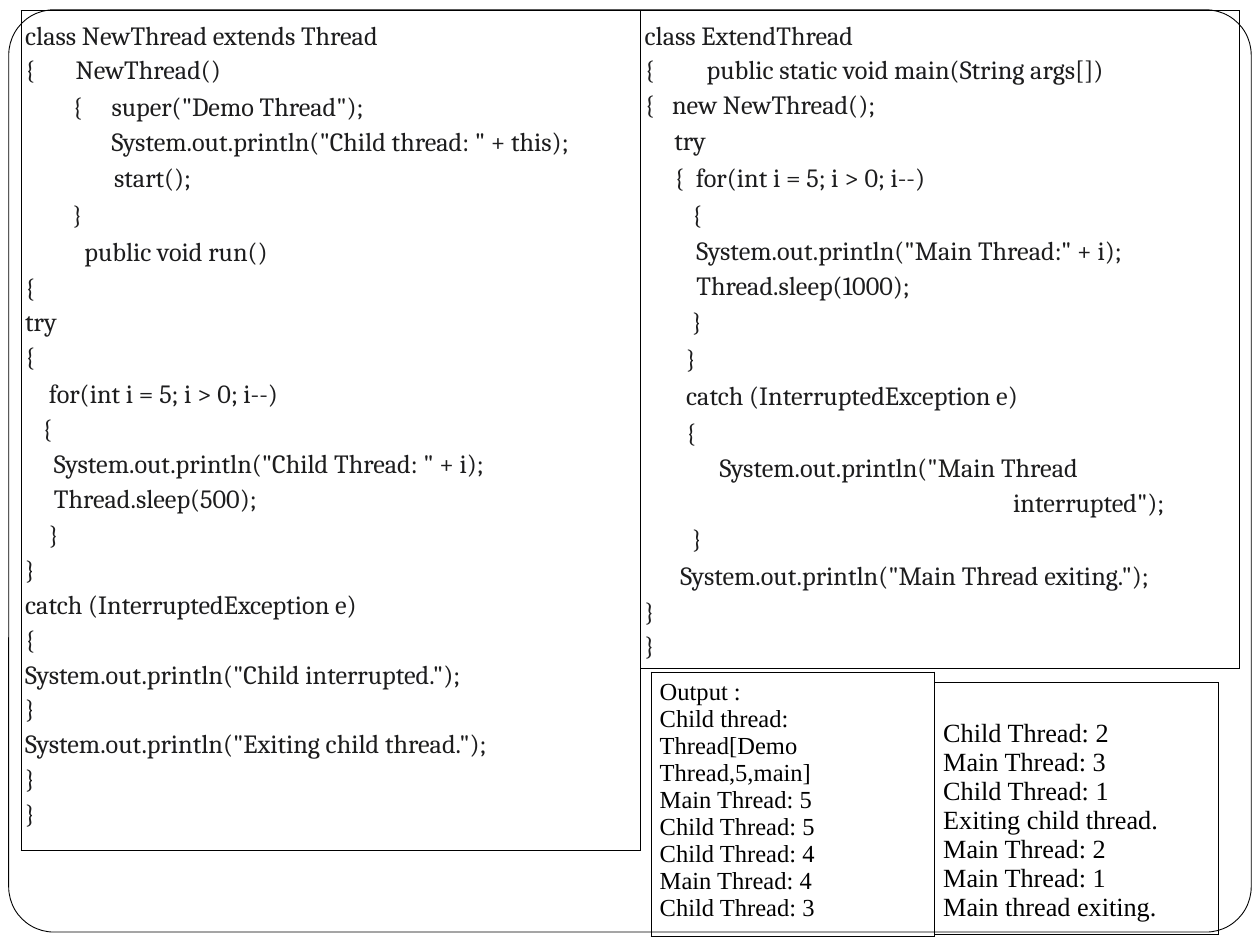
import lxml.etree
import pptx
import pptx.dml.color
import pptx.enum.shapes
import pptx.enum.text
import pptx.oxml
import pptx.oxml.ns
import pptx.util

Pt = pptx.util.Pt
COLORS = {"paper": "FFFFFF", "line": "000000", "code": "1D1D1E", "output": "000000"}
INDENT_MARK = "|"


def write(cell, text, font, size, color, align, spacing=None, indent_font=None):
    frame = cell.text_frame
    frame.word_wrap = True
    for index, line in enumerate(text.strip("\n").split("\n")):
        paragraph = frame.add_paragraph() if index else frame.paragraphs[0]
        paragraph.alignment = align
        if spacing:
            paragraph.line_spacing = spacing
        indent, _, words = line.rpartition(INDENT_MARK)
        for part, face in ((indent, indent_font), (words, font)):
            if part:
                run = paragraph.add_run()
                run.text = part
                run.font.name = face
                run.font.size = Pt(size)
                run.font.color.rgb = pptx.dml.color.RGBColor.from_string(COLORS[color])


def add_panel(slide, left, top, width, height, side_margin, top_margin):
    frame = slide.shapes.add_table(1, 1, Pt(left), Pt(top), Pt(width), Pt(height))
    frame.table.first_row = False
    frame.table.horz_banding = False
    cell = frame.table.cell(0, 0)
    cell.margin_left = cell.margin_right = Pt(side_margin)
    cell.margin_top, cell.margin_bottom = Pt(top_margin), Pt(3.6)
    properties = cell._tc.get_or_add_tcPr()
    for edge in ("a:lnL", "a:lnR", "a:lnT", "a:lnB"):
        border = lxml.etree.SubElement(properties, pptx.oxml.ns.qn(edge), w=str(Pt(0.45)))
        solid = lxml.etree.SubElement(border, pptx.oxml.ns.qn("a:solidFill"))
        lxml.etree.SubElement(solid, pptx.oxml.ns.qn("a:srgbClr"), val=COLORS["line"])
    cell.fill.background()
    return cell


child_code = """
class NewThread extends Thread
{       NewThread()
        |{     super("Demo Thread");
               System.out.println("Child thread: " + this);
               |start();
        |}
          |public void run()
{
try
{
    |for(int i = 5; i > 0; i--)
   {
     System.out.println("Child Thread: " + i);
     Thread.sleep(500);
    |}
}
catch (InterruptedException e)
{
System.out.println("Child interrupted.");
}
System.out.println("Exiting child thread.");
}
}
"""

main_code = """
class ExtendThread
{         public static void main(String args[])
{   new NewThread();
     |try
     |{  for(int i = 5; i > 0; i--)
        |{
         System.out.println("Main Thread:" + i);
         Thread.sleep(1000);
        |}
       |}
       |catch (InterruptedException e)
       |{
             System.out.println("Main Thread
                                                                interrupted");
        |}
      |System.out.println("Main Thread exiting.");
}
}
"""

output_start = """
Output :
Child thread: Thread[Demo Thread,5,main]
Main Thread: 5
Child Thread: 5
Child Thread: 4
Main Thread: 4
Child Thread: 3
"""

output_end = """
Child Thread: 2
Main Thread: 3
Child Thread: 1
Exiting child thread.
Main Thread: 2
Main Thread: 1
Main thread exiting.
"""

presentation = pptx.Presentation()
presentation.slide_width, presentation.slide_height = Pt(720), Pt(540)
slide = presentation.slides.add_slide(presentation.slide_layouts[6])

border_frame = slide.shapes.add_shape(
    pptx.enum.shapes.MSO_SHAPE.ROUNDED_RECTANGLE, Pt(5), Pt(5.6), Pt(710), Pt(527)
)
border_frame.adjustments[0] = 0.049
border_frame.shadow.inherit = False
border_frame.fill.solid()
border_frame.fill.fore_color.rgb = pptx.dml.color.RGBColor.from_string(COLORS["paper"])
border_frame.line.color.rgb = pptx.dml.color.RGBColor.from_string(COLORS["line"])
border_frame.line.width = Pt(0.5)

for code, left, width, height in (
    (child_code, 12, 354, 480),
    (main_code, 366, 342, 373),
):
    code_panel = add_panel(slide, left, 6, width, height, side_margin=2.4, top_margin=3.6)
    write(code_panel, code, font="Cambria", size=15, color="code", spacing=1.15,
          align=pptx.enum.text.PP_ALIGN.JUSTIFY, indent_font="Calibri")

for output, left, top, height, size, top_margin in (
    (output_start, 372, 384, 151, 14, 3.6),
    (output_end, 534, 390, 144, 15, 20.85),
):
    output_panel = add_panel(slide, left, top, 162, height, side_margin=5, top_margin=top_margin)
    write(output_panel, output, font="Times New Roman", size=size, color="output",
          align=pptx.enum.text.PP_ALIGN.LEFT)

presentation.save("out.pptx")
